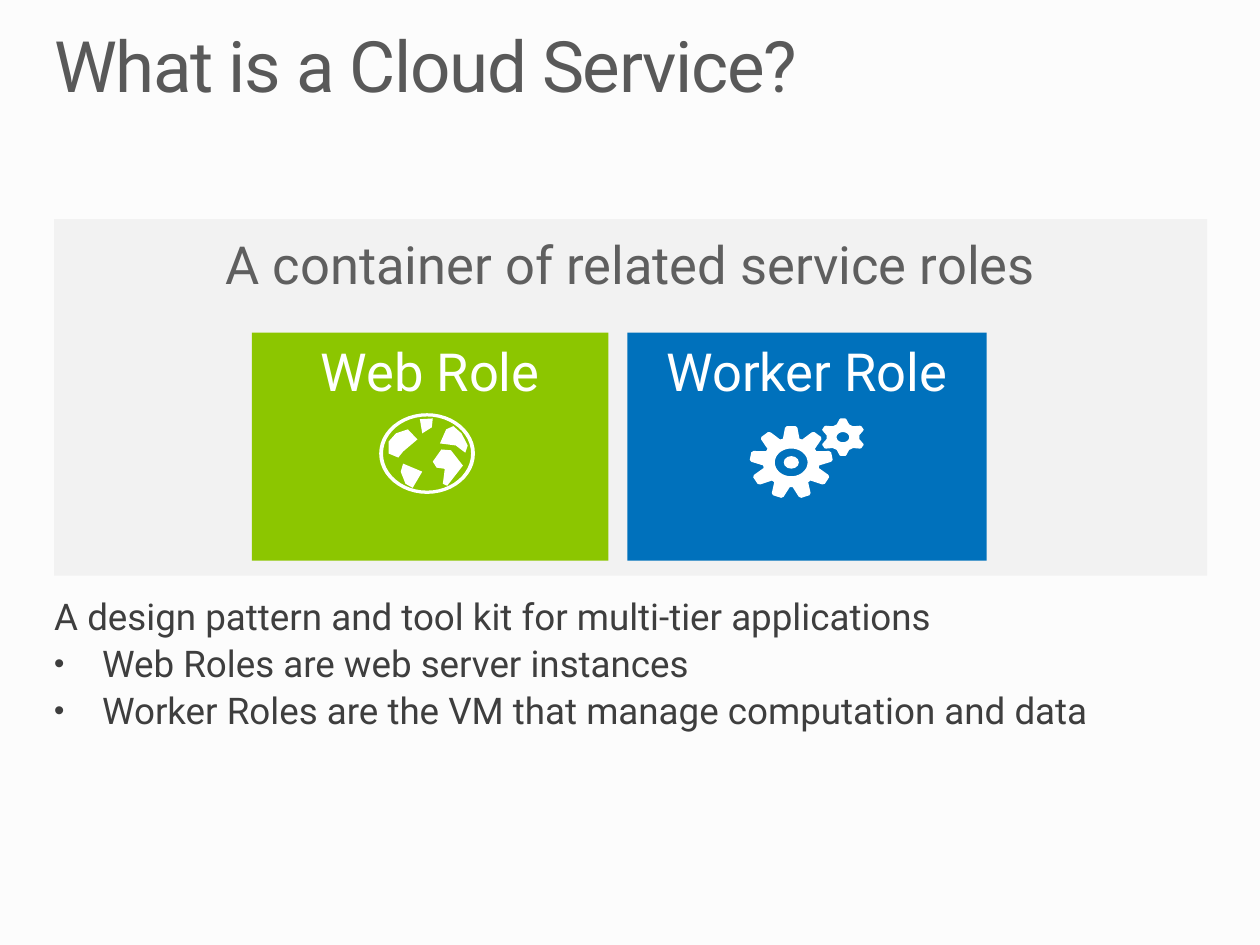
from dataclasses import dataclass
from math import cos, pi, radians, sin

from lxml.etree import SubElement
from pptx import Presentation
from pptx.dml.color import RGBColor as RGB
from pptx.enum.shapes import MSO_SHAPE as SHAPE
from pptx.enum.text import MSO_ANCHOR as ANCHOR, MSO_AUTO_SIZE as AUTO, PP_ALIGN as ALIGN
from pptx.oxml.ns import qn
from pptx.util import Inches, Pt


@dataclass(frozen=True)
class Theme:
    font: str = "Roboto"
    page: str = "FCFCFC"
    panel: str = "F2F2F2"
    web: str = "8CC600"
    worker: str = "0071BC"
    white: str = "FFFFFF"
    title: str = "595959"
    heading: str = "5F5F5F"
    body: str = "3E3E3E"
    title_size: float = 40.5
    heading_size: float = 30
    body_size: float = 21


T = Theme()
LEFT, WIDTH = 0.43, 9.15
ROLE_TOP, ROLE_HEIGHT = 2.64, 1.81

# Land on a globe of radius 1 centred on (0, 0), y pointing down
LANDS = {
    "north america": [(-0.65, -0.5), (-0.4, -0.6), (-0.2, -0.35), (-0.5, -0.05),
                      (-0.6, 0.1), (-0.8, 0), (-0.8, -0.3)],
    "greenland": [(-0.15, -0.85), (0.12, -0.87), (0.1, -0.65), (-0.1, -0.5)],
    "south america": [(-0.5, 0.25), (-0.1, 0.45), (-0.3, 0.85), (-0.45, 0.75), (-0.55, 0.45)],
    "africa": [(0.12, 0.2), (0.3, -0.1), (0.5, -0.08), (0.75, 0.3), (0.42, 0.8),
               (0.33, 0.75), (0.37, 0.38), (0.2, 0.35)],
    "eurasia": [(0.27, -0.25), (0.4, -0.6), (0.55, -0.68), (0.72, -0.5), (0.85, -0.2),
                (0.8, -0.02), (0.6, -0.2)],
}


# Basic elements
def set_fill(shape, color):
    shape.shadow.inherit = False
    shape.fill.solid()
    shape.fill.fore_color.rgb = RGB.from_string(color)
    shape.line.fill.background()


def add_block(s, kind, box, color):
    set_fill(s.shapes.add_shape(kind, *map(Inches, box)), color)


def add_outline(s, contours, color):
    """Draw closed contours as one shape; each nested contour flips hole and fill."""
    contours = [[(Inches(x), Inches(y)) for x, y in c] for c in contours]
    builder = s.shapes.build_freeform(*contours[0][0])
    for start, *rest in contours:
        builder.move_to(*start)
        builder.add_line_segments(rest, close=True)
    set_fill(builder.convert_to_shape(), color)


# Text
def place(sp, box):
    sp.left, sp.top, sp.width, sp.height = map(Inches, box)


def prepare_frame(tf, wrap=True):
    tf.margin_left = tf.margin_right = tf.margin_top = tf.margin_bottom = 0
    tf.vertical_anchor = ANCHOR.TOP
    tf.word_wrap = wrap
    tf.auto_size = AUTO.SHAPE_TO_FIT_TEXT


def format_paragraph(p, size, color, align=ALIGN.LEFT, spacing=0.9, before=0):
    p.alignment = align
    p.line_spacing = spacing
    p.space_before = Pt(before)
    for r in p.runs:
        r.font.name = T.font
        r.font.size = Pt(size)
        r.font.color.rgb = RGB.from_string(color)


def set_bullet(p, char=None):
    pPr = p._p.get_or_add_pPr()
    indent = Inches(0.38) if char else 0
    pPr.set("marL", str(indent))
    pPr.set("indent", str(-indent))
    if char:
        SubElement(pPr, qn("a:buSzPct")).set("val", "80000")
        SubElement(pPr, qn("a:buChar")).set("char", char)
    else:
        SubElement(pPr, qn("a:buNone"))


def add_label(s, text, box, color, spacing=0.9):
    tf = s.shapes.add_textbox(*map(Inches, box)).text_frame
    tf.text = text
    prepare_frame(tf)
    format_paragraph(tf.paragraphs[0], T.heading_size, color, ALIGN.CENTER, spacing)


def fill_title(sp, text):
    place(sp, (LEFT, 0.25, WIDTH, 0.61))
    tf = sp.text_frame
    tf.text = text
    prepare_frame(tf)
    format_paragraph(tf.paragraphs[0], T.title_size, T.title)
    tf.paragraphs[0].runs[0].font._element.set("spc", "-80")


def fill_body(sp, lead, items):
    place(sp, (LEFT, 4.75, 8.3, 1.1))
    tf = sp.text_frame
    tf.text = "\n".join([lead, *items])
    prepare_frame(tf, wrap=False)
    for i, p in enumerate(tf.paragraphs):
        set_bullet(p, "•" if i else None)
        format_paragraph(p, T.body_size, T.body, before=0.2 * T.body_size if i else 0)


# Icons: unit outlines are scaled to the radii and moved to the centre
def fit(points, center, radii):
    (cx, cy), (rx, ry) = center, radii
    return [(cx + rx * x, cy + ry * y) for x, y in points]


def polar(radius, angle):
    return radius * sin(angle), -radius * cos(angle)


def circle(radius=1, count=48):
    return [polar(radius, 2 * pi * i / count) for i in range(count)]


def gear(teeth, root, root_angle):
    """Each tooth rises from the root circle to a tip with softened corners."""
    rising = [(root, -root_angle), (0.96, -9), (1, -6)]
    tooth = rising + [(r, -a) for r, a in reversed(rising)]
    return [polar(r, radians(360 * i / teeth + a)) for i in range(teeth) for r, a in tooth]


def add_globe(s, center, radii):
    contours = [circle(), circle(0.92), *LANDS.values()]
    add_outline(s, [fit(c, center, radii) for c in contours], T.white)


def add_gear(s, center, radii, hole_radii, **shape):
    add_outline(s, [fit(gear(**shape), center, radii),
                    fit(circle(), center, hole_radii)], T.white)


def add_gears(s):
    add_gear(s, (6.28, 3.67), (0.33, 0.29), (0.13, 0.11), teeth=9, root=0.68, root_angle=17)
    add_block(s, SHAPE.OVAL, (6.22, 3.62, 0.12, 0.1), T.white)
    add_gear(s, (6.69, 3.47), (0.18, 0.15), (0.05, 0.04), teeth=6, root=0.73, root_angle=22)


def add_role(s, name, x, width, color):
    add_block(s, SHAPE.RECTANGLE, (x, ROLE_TOP, width, ROLE_HEIGHT), color)
    add_label(s, name, (x, ROLE_TOP + 0.11, width, 0.45), T.white)


def main():
    prs = Presentation()
    prs.slide_width, prs.slide_height = Inches(10), Inches(7.5)
    s = prs.slides.add_slide(prs.slide_layouts[1])
    s.background.fill.solid()
    s.background.fill.fore_color.rgb = RGB.from_string(T.page)

    # Title and explanation
    fill_title(s.shapes.title, "What is a Cloud Service?")
    fill_body(s.placeholders[1], "A design pattern and tool kit for multi-tier applications", [
        "Web Roles are web server instances",
        "Worker Roles are the VM that manage computation and data",
    ])

    # Container panel with its two roles
    add_block(s, SHAPE.RECTANGLE, (LEFT, 1.74, WIDTH, 2.83), T.panel)
    add_label(s, "A container of related service roles", (LEFT, 1.84, WIDTH, 0.5), T.heading, 1)
    add_role(s, "Web Role", 2, 2.83, T.web)
    add_role(s, "Worker Role", 4.98, 2.85, T.worker)

    # Role icons
    add_globe(s, (3.39, 3.6), (0.38, 0.32))
    add_gears(s)
    prs.save("out.pptx")


if __name__ == "__main__":
    main()
